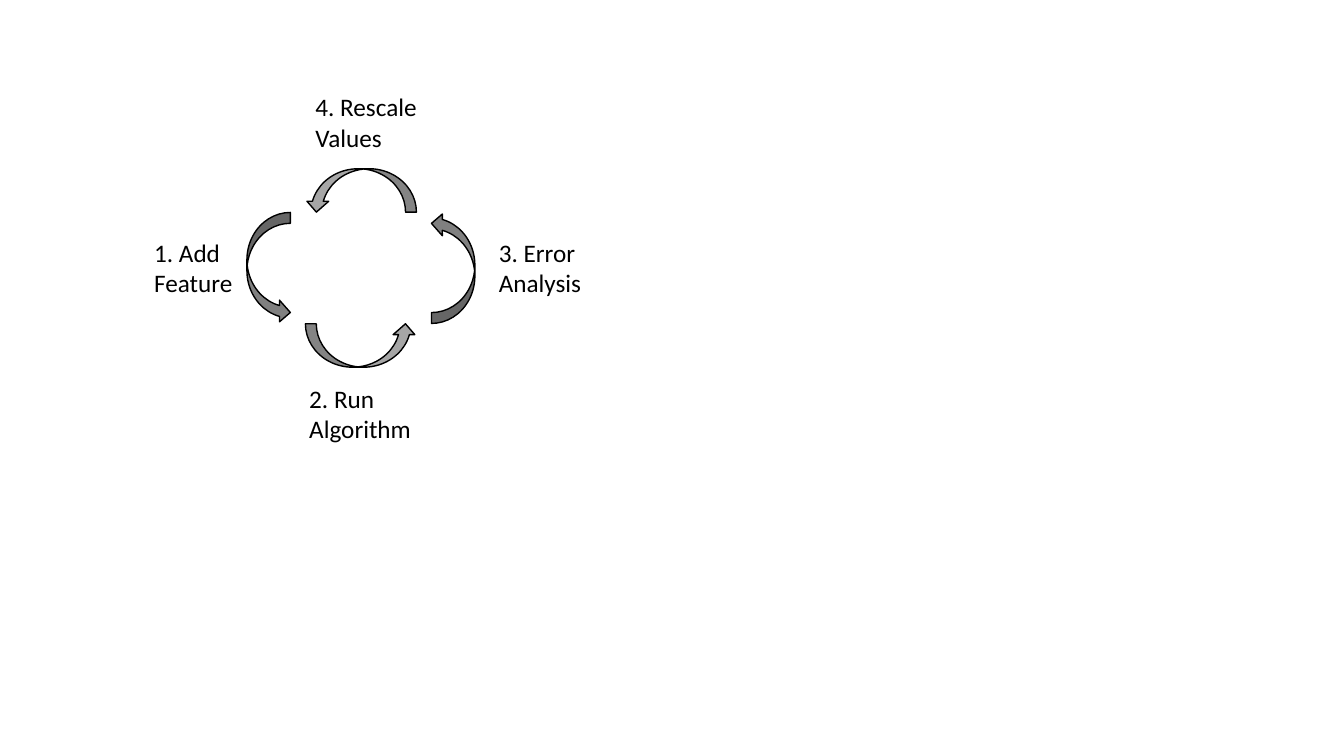
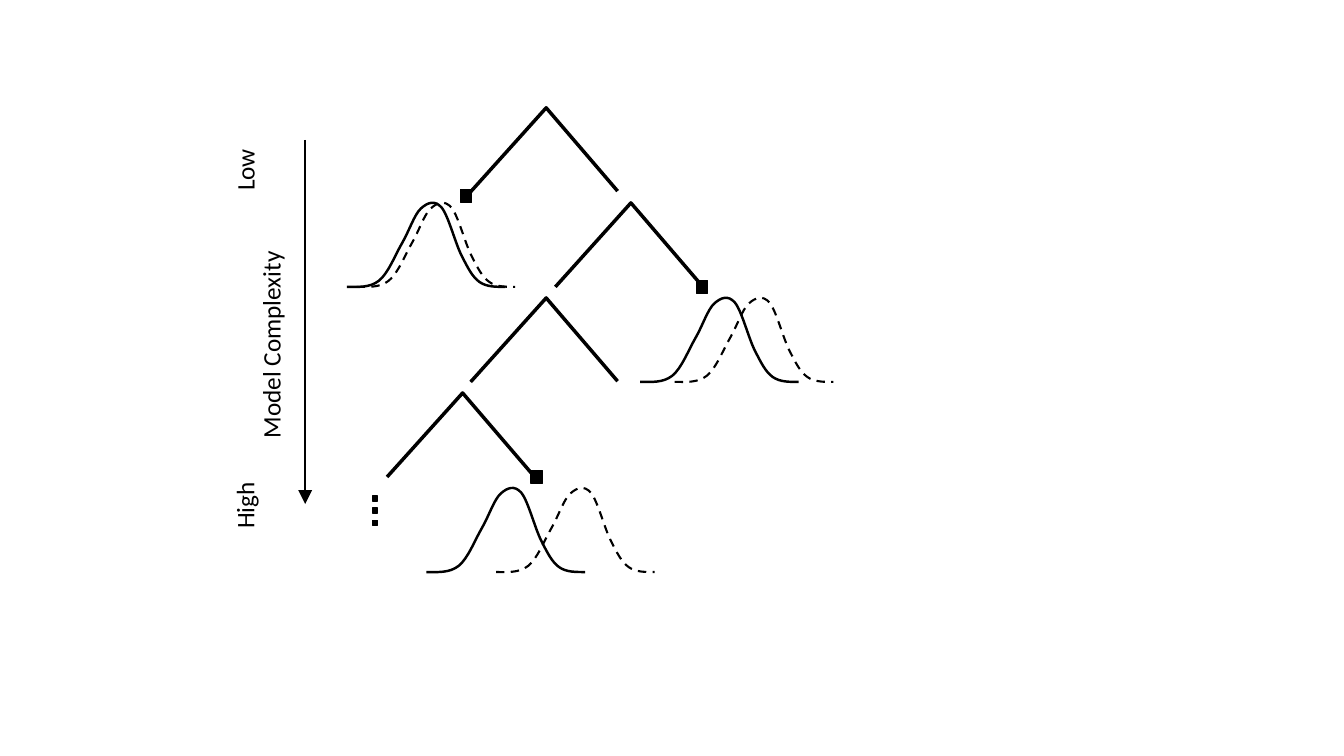
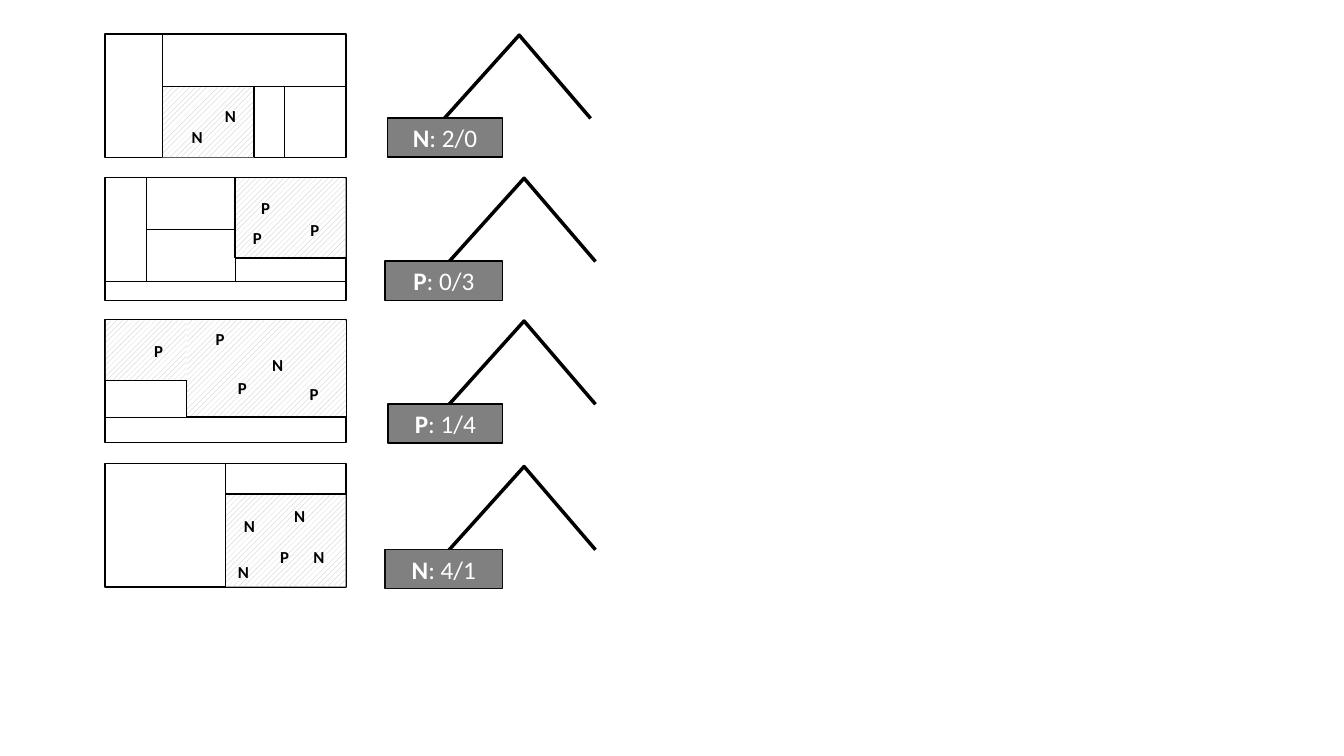
from dataclasses import dataclass
from typing import NamedTuple

import lxml.etree
import pptx
import pptx.dml.color
import pptx.enum.dml
import pptx.enum.shapes
import pptx.enum.text
import pptx.oxml.ns
import pptx.shapes.autoshape
import pptx.slide
import pptx.text.text
import pptx.util

Pt = pptx.util.Pt
RGB = pptx.dml.color.RGBColor
Kind = pptx.enum.shapes.MSO_SHAPE
Slide = pptx.slide.Slide
Shape = pptx.shapes.autoshape.Shape
qn = pptx.oxml.ns.qn


@dataclass(frozen=True)
class Theme:
    font: str = "Calibri"
    body: float = 18
    small: float = 12
    black: RGB = RGB(0, 0, 0)
    soft: RGB = RGB(0x0D, 0x0D, 0x0D)
    white: RGB = RGB(255, 255, 255)
    dark: RGB = RGB(0x80, 0x80, 0x80)
    light: RGB = RGB(0xA6, 0xA6, 0xA6)
    pale: RGB = RGB(0xBF, 0xBF, 0xBF)
    hair: float = 0.5
    thin: float = 1
    dash: float = 1.5
    mid: float = 1.75
    bold: float = 2.5


THEME = Theme()


class Point(NamedTuple):
    x: float
    y: float


class Box(NamedTuple):
    x: float
    y: float
    w: float
    h: float


class Rule(NamedTuple):
    start: Point
    end: Point
    width: float


class Note(NamedTuple):
    text: str
    box: Box
    wrap: bool = False
    turn: float = 0


# Shared drawing

def lengths(*values: float) -> list[int]:
    return [Pt(value) for value in values]


def style(font: pptx.text.text.Font, size: float, color: RGB, bold: bool) -> None:
    font.name = THEME.font
    font.size = Pt(size)
    font.color.rgb = color
    font.bold = bold


def block(slide: Slide, box: Box, fill: RGB, kind: Kind = Kind.RECTANGLE,
          edge: RGB = THEME.black) -> Shape:
    shape = slide.shapes.add_shape(kind, *lengths(*box))
    shape.shadow.inherit = False
    shape.fill.solid()
    shape.fill.fore_color.rgb = fill
    shape.line.color.rgb = edge
    shape.line.width = Pt(THEME.thin)
    return shape


def hatch(slide: Slide, box: Box) -> None:
    shape = block(slide, box, THEME.white)
    shape.fill.patterned()
    shape.fill.pattern = pptx.enum.dml.MSO_PATTERN.WIDE_UPWARD_DIAGONAL
    shape.fill.fore_color.rgb = THEME.pale
    shape.fill.back_color.rgb = THEME.white
    shape.line.fill.background()


def label(slide: Slide, note: Note, size: float = THEME.body, bold: bool = False) -> None:
    shape = slide.shapes.add_textbox(*lengths(*note.box))
    shape.rotation = note.turn
    frame = shape.text_frame
    frame.word_wrap = note.wrap
    frame.auto_size = pptx.enum.text.MSO_AUTO_SIZE.SHAPE_TO_FIT_TEXT
    frame.text = note.text
    for para in frame.paragraphs:
        style(para.font, size, THEME.black, bold)


def line(slide: Slide, rule: Rule, head: bool = False) -> None:
    link = slide.shapes.add_connector(
        pptx.enum.shapes.MSO_CONNECTOR.STRAIGHT, *lengths(*rule.start, *rule.end))
    link.line.color.rgb = THEME.black
    link.line.width = Pt(rule.width)
    props = link._element.spPr
    if head:
        lxml.etree.SubElement(props.find(qn("a:ln")), qn("a:tailEnd"),
                              type="triangle", w="lg", len="lg")
    lxml.etree.SubElement(props, qn("a:effectLst"))


def stroke(slide: Slide, at: Point, points: list[Point], width: float) -> Shape:
    """Open, unfilled outline through the points, which count from at."""
    first, *rest = [lengths(at.x + x, at.y + y) for x, y in points]
    pen = slide.shapes.build_freeform(*first)
    pen.add_line_segments(rest, close=False)
    shape = pen.convert_to_shape()
    shape.shadow.inherit = False
    shape.fill.background()
    shape.line.color.rgb = THEME.black
    shape.line.width = Pt(width)
    return shape


ROOF = [Point(0, 60), Point(54, 0), Point(105, 59.5)]


def fork(slide: Slide, at: Point) -> None:
    stroke(slide, at, ROOF, THEME.bold)


# Bell curves

KNOTS = [Point(0, 0), Point(23, -4.4), Point(39.6, -31.4), Point(53, -56),
         Point(67.7, -56.7), Point(82, -22.4), Point(94.8, -3.5), Point(113.3, 0)]


def mirror(end: Point, near: Point) -> Point:
    """Knot beyond an end that makes the curve level there."""
    return Point(2 * end.x - near.x, near.y)


def smooth(knots: list[Point]) -> list[Point]:
    """Add two Bezier handles per span, each a sixth of its neighbours' gap."""
    chain = [mirror(knots[0], knots[1]), *knots, mirror(knots[-1], knots[-2])]
    points = [knots[0]]
    for before, start, end, after in zip(chain, chain[1:], chain[2:], chain[3:]):
        points += [
            Point(start.x + (end.x - before.x) / 6, start.y + (end.y - before.y) / 6),
            Point(end.x - (after.x - start.x) / 6, end.y - (after.y - start.y) / 6),
            end]
    return points


def bend(shape: Shape) -> None:
    """Turn every three straight segments into one cubic curve."""
    steps = list(shape._element.iter(qn("a:lnTo")))
    for trio in zip(steps[::3], steps[1::3], steps[2::3]):
        arc = lxml.etree.Element(qn("a:cubicBezTo"))
        trio[0].addprevious(arc)
        for step in trio:
            arc.append(step[0])
            step.getparent().remove(step)


def bells(slide: Slide, at: Point, gap: float) -> None:
    """A solid bell and a dashed one, moved right by gap."""
    curve = smooth(KNOTS)
    solid = stroke(slide, at, curve, THEME.mid)
    dashed = stroke(slide, Point(at.x + gap, at.y), curve, THEME.dash)
    dashed.line.dash_style = pptx.enum.dml.MSO_LINE.DASH
    for shape in (solid, dashed):
        bend(shape)


# Slide 1: ring of four arrows

HUB = Point(257.8, 191.4)
REACH = Point(65.9, 55.4)
LONG, SHORT = 79.2, 31
STEPS = (
    Note("1. Add Feature", Box(103, 165.6, 104.4, 51), wrap=True),
    Note("2. Run\nAlgorithm", Box(213.8, 270, 87.8, 51)),
    Note("3. Error\nAnalysis", Box(349.2, 165.6, 74.2, 51)),
    Note("4. Rescale\nValues", Box(218.2, 62, 116.6, 51), wrap=True),
)


def around(mid: Point, w: float, h: float) -> Box:
    return Box(mid.x - w / 2, mid.y - h / 2, w, h)


def cycle(slide: Slide) -> None:
    for side, turn in ((1, 0), (-1, 180)):
        beside = around(Point(HUB.x - side * REACH.x, HUB.y), SHORT, LONG)
        below = around(Point(HUB.x, HUB.y + side * REACH.y), LONG, SHORT)
        block(slide, beside, THEME.dark, Kind.CURVED_RIGHT_ARROW).rotation = turn
        block(slide, below, THEME.light, Kind.CURVED_UP_ARROW).rotation = turn
    for note in STEPS:
        label(slide, note)


# Slide 2: tree that grows downwards

class Leaf(NamedTuple):
    """End of a branch, counted from its fork, with the bells below it."""
    spot: Point
    bell: float
    gap: float


class Level(NamedTuple):
    x: float
    leaf: Leaf | None = None


CROWN, PITCH = 77, 67.9
LEVELS = (
    Level(336.2, Leaf(Point(-7.2, 58.4), bell=247.7, gap=7)),
    Level(396.7, Leaf(Point(100.8, 55.3), bell=457.2, gap=24.7)),
    Level(336.2),
    Level(276.5, Leaf(Point(102.9, 55.3), bell=304.6, gap=49.7)),
)
AXIS = Rule(Point(218, 100), Point(218, 360), THEME.mid)
SCALE = (
    Note("High", Box(150.5, 346.3, 48.2, 29), turn=270),
    Note("Low", Box(152.6, 106.6, 44.6, 29), turn=270),
    Note("Model Complexity", Box(116, 228.2, 154.8, 29), turn=270),
)
DOTS, DOT, STEP = Point(266.2, 354.2), 3.6, 8.7


def growth(slide: Slide) -> None:
    line(slide, AXIS, head=True)
    for row, (x, leaf) in enumerate(LEVELS):
        top = CROWN + PITCH * row
        fork(slide, Point(x, top))
        if leaf:
            foot = top + PITCH + ROOF[0].y
            bells(slide, Point(leaf.bell, foot), leaf.gap)
            block(slide, Box(x + leaf.spot.x, top + leaf.spot.y, 8, 9.4), THEME.black)
    for i in range(3):
        block(slide, Box(DOTS.x, DOTS.y + STEP * i, DOT, DOT), THEME.black)
    for note in SCALE:
        label(slide, note)


# Slide 3: divided areas, each with its tree

LEFT, WIDE, HIGH = 75, 172.2, 88
TAG_END, TAG_HIGH = 359.2, 28
TREE_HIGH = 59.2
MARK_WIDE = {"N": 22.3, "P": 20.9}


def across(y: float, start: float = 0, end: float = WIDE,
           width: float = THEME.hair) -> Rule:
    return Rule(Point(start, y), Point(end, y), width)


def down(x: float, start: float = 0, end: float = HIGH,
         width: float = THEME.hair) -> Rule:
    return Rule(Point(x, start), Point(x, end), width)


@dataclass(frozen=True)
class Panel:
    """Hatches, rules and marks count from the panel's corner."""
    top: float
    hatches: tuple[Box, ...]
    rules: tuple[Rule, ...]
    marks: dict[str, tuple[Point, ...]]
    tree: float
    tag: Point
    name: str
    score: str
    edge: RGB = THEME.black


PANELS = (
    Panel(top=24.4,
          hatches=(Box(41, 38, 65.5, 50),),
          rules=(down(41, 37.5, width=THEME.thin),
                 across(37.5, 41, 106.5, THEME.thin),
                 down(106.5, 37.5, width=THEME.thin),
                 down(128, 37.5), across(37.5, 41), down(41)),
          marks={"N": (Point(54.7, 62.8), Point(78.5, 47.5))},
          tree=316.9, tag=Point(276.6, 84.3), name="N", score=": 2/0"),
    Panel(top=126.7,
          hatches=(Box(92, 0.7, 80, 57),),
          rules=(across(74), down(29.5, end=74), across(37.4, 29.5, 92.8),
                 down(92.8, end=57.6, width=THEME.thin),
                 across(57.6, 92.8, width=THEME.thin), down(92.8, end=74)),
          marks={"P": (Point(98.6, 32.4), Point(139.7, 26.6), Point(104.4, 10.8))},
          tree=320.4, tag=Point(275, 186.5), name="P", score=": 0/3"),
    Panel(top=228.2,
          hatches=(Box(58.3, 0.7, 113.8, 68.4), Box(0.7, 0.7, 57.6, 42.5)),
          rules=(across(69.8, 58.3, width=THEME.thin),
                 across(43.4, end=58.3, width=THEME.thin),
                 down(58.3, 43.4, 69.8, THEME.thin), across(69.8)),
          marks={"P": (Point(72, 2.9), Point(28, 11.5), Point(87.8, 38.2),
                       Point(139, 42.5)),
                 "N": (Point(112.3, 21.6),)},
          tree=320.4, tag=Point(277.1, 288.5), name="P", score=": 1/4"),
    Panel(top=331.3,
          hatches=(Box(86.2, 21.6, 85.7, 66.2),),
          rules=(down(86.2, 21.6, width=THEME.thin),
                 across(21.6, 86.2, width=THEME.thin), down(86.2)),
          marks={"N": (Point(92.2, 33.8), Point(141.8, 55.4), Point(128, 26.6),
                       Point(87.8, 66.2)),
                 "P": (Point(118, 55.4),)},
          tree=320.4, tag=Point(275, 392.4), name="N", score=": 4/1",
          edge=THEME.soft),
)


def tag(slide: Slide, panel: Panel) -> None:
    box = Box(*panel.tag, TAG_END - panel.tag.x, TAG_HIGH)
    frame = block(slide, box, THEME.dark, edge=panel.edge).text_frame
    frame.vertical_anchor = pptx.enum.text.MSO_ANCHOR.MIDDLE
    para = frame.paragraphs[0]
    para.alignment = pptx.enum.text.PP_ALIGN.CENTER
    style(para.font, THEME.body, THEME.white, False)
    for text, bold in ((panel.name, True), (panel.score, False)):
        run = para.add_run()
        run.text = text
        run.font.bold = bold


def area(slide: Slide, panel: Panel) -> None:
    def place(spot: Point) -> Point:
        return Point(LEFT + spot.x, panel.top + spot.y)

    block(slide, Box(LEFT, panel.top, WIDE, HIGH), THEME.white)
    for x, y, w, h in panel.hatches:
        hatch(slide, Box(*place(Point(x, y)), w, h))
    for start, end, width in panel.rules:
        line(slide, Rule(place(start), place(end), width))
    for text, spots in panel.marks.items():
        for spot in spots:
            box = Box(*place(spot), MARK_WIDE[text], 21.6)
            label(slide, Note(text, box), THEME.small, bold=True)


def split(slide: Slide) -> None:
    for panel in PANELS:
        area(slide, panel)
        fork(slide, Point(panel.tree, panel.tag.y - TREE_HIGH))
        tag(slide, panel)


def main() -> None:
    deck = pptx.Presentation()
    deck.slide_width, deck.slide_height = lengths(960, 540)
    for draw in (cycle, growth, split):
        draw(deck.slides.add_slide(deck.slide_layouts[6]))
    deck.save("out.pptx")


if __name__ == "__main__":
    main()
